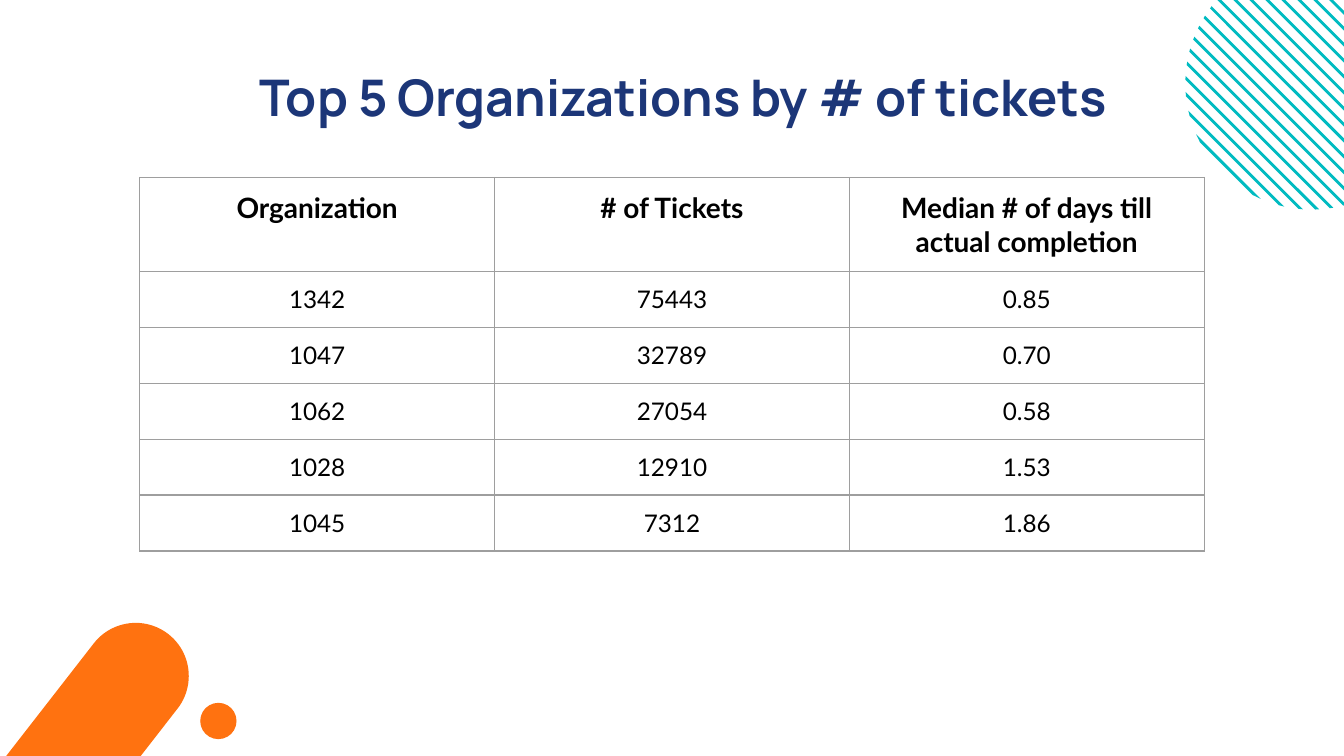
import math

import lxml.etree
import pptx
import pptx.dml.color
import pptx.enum.shapes
import pptx.enum.text
import pptx.oxml.ns
import pptx.util

RGBColor = pptx.dml.color.RGBColor
Inches = pptx.util.Inches
Pt = pptx.util.Pt
SHAPES = pptx.enum.shapes.MSO_SHAPE
ANCHOR = pptx.enum.text.MSO_ANCHOR
ALIGN = pptx.enum.text.PP_ALIGN

# Content
TITLE = "Top 5 Organizations by # of tickets"
HEADER = ("Organization", "# of Tickets", "Median # of days till actual completion")
ORGANIZATIONS = [
    ("1342", "75443", "0.85"),
    ("1047", "32789", "0.70"),
    ("1062", "27054", "0.58"),
    ("1028", "12910", "1.53"),
    ("1045", "7312", "1.86"),
]

# Look
NAVY = RGBColor(0x1C, 0x36, 0x78)
TEAL = RGBColor(0x00, 0xBB, 0xC1)
ORANGE = RGBColor(0xFF, 0x72, 0x10)
BLACK = RGBColor(0x00, 0x00, 0x00)
GREY = RGBColor(0x9E, 0x9E, 0x9E)
TITLE_FONT, TABLE_FONT = "Manrope", "Lato"

# Lengths in inches
SLIDE_WIDTH, SLIDE_HEIGHT = 10, 5.625
TABLE_LEFT, TABLE_TOP = 1.04, 1.32
COLUMN_WIDTH, HEADER_HEIGHT, BODY_HEIGHT = 2.64, 0.7, 2.08
CIRCLE_X, CIRCLE_Y, CIRCLE_RADIUS = 9.76, 0.62, 0.94
STRIPE_COUNT, STRIPE_WIDTH = 18, 0.03
FIRST_STRIPE, LAST_STRIPE = 0.75, -1.27  # x - y, measured from the circle's centre
CAPSULE_START, CAPSULE_END, CAPSULE_WIDTH = (-2.14, 9.08), (1.01, 5.03), 0.79


def paint(shape, color):
    shape.shadow.inherit = False
    shape.fill.solid()
    shape.fill.fore_color.rgb = color
    shape.line.fill.background()


def set_margins(target, side, top, bottom):
    target.margin_left = target.margin_right = Inches(side)
    target.margin_top, target.margin_bottom = Inches(top), Inches(bottom)


def add_text(para, text, font, size, color, bold):
    span = para.add_run()
    span.text = text
    span.font.name, span.font.size, span.font.bold = font, Pt(size), bold
    span.font.color.rgb = color


def chord(offset):
    """Both ends of the 45 degree chord where x - y equals offset."""
    half = math.sqrt(2 * CIRCLE_RADIUS ** 2 - offset ** 2)
    return [(Inches(CIRCLE_X + (offset + way * half) / 2),
             Inches(CIRCLE_Y + (way * half - offset) / 2)) for way in (-1, 1)]


def add_striped_circle(page):
    group = page.shapes.add_group_shape()
    pitch = (LAST_STRIPE - FIRST_STRIPE) / (STRIPE_COUNT - 1)
    for index in range(STRIPE_COUNT):
        offset = FIRST_STRIPE + index * pitch
        points = chord(offset) + chord(offset + STRIPE_WIDTH)[::-1]
        builder = group.shapes.build_freeform(*points[0])
        builder.add_line_segments(points[1:], close=True)
        paint(builder.convert_to_shape(), TEAL)


def add_capsule(page):
    (x1, y1), (x2, y2) = CAPSULE_START, CAPSULE_END
    length = math.dist(CAPSULE_START, CAPSULE_END) + CAPSULE_WIDTH
    capsule = page.shapes.add_shape(
        SHAPES.ROUNDED_RECTANGLE,
        Inches((x1 + x2 - length) / 2), Inches((y1 + y2 - CAPSULE_WIDTH) / 2),
        Inches(length), Inches(CAPSULE_WIDTH))
    capsule.adjustments[0] = 0.5
    capsule.rotation = math.degrees(math.atan2(y2 - y1, x2 - x1))
    paint(capsule, ORANGE)


def set_borders(cell):
    properties = cell._tc.get_or_add_tcPr()
    qn = pptx.oxml.ns.qn
    for index, side in enumerate(("lnL", "lnR", "lnT", "lnB")):
        line = lxml.etree.Element(qn(f"a:{side}"), w=str(Pt(0.75)))
        fill = lxml.etree.SubElement(line, qn("a:solidFill"))
        lxml.etree.SubElement(fill, qn("a:srgbClr"), val=str(GREY))
        properties.insert(index, line)


def add_ticket_table(page):
    rows = [HEADER] + ORGANIZATIONS
    count = len(ORGANIZATIONS)
    heights = [HEADER_HEIGHT] + [BODY_HEIGHT / count] * count
    table = page.shapes.add_table(
        len(rows), len(HEADER), Inches(TABLE_LEFT), Inches(TABLE_TOP),
        Inches(COLUMN_WIDTH * len(HEADER)), Inches(sum(heights))).table
    table.first_row = table.horz_banding = False
    for column in table.columns:
        column.width = Inches(COLUMN_WIDTH)
    for row_index, (values, height) in enumerate(zip(rows, heights)):
        table.rows[row_index].height = Inches(height)
        is_header = row_index == 0
        for column_index, value in enumerate(values):
            cell = table.cell(row_index, column_index)
            cell.fill.background()
            set_borders(cell)
            para = cell.text_frame.paragraphs[0]
            para.alignment = ALIGN.CENTER
            if is_header:
                set_margins(cell, 0.1, 0.1, 0.1)
                cell.vertical_anchor = ANCHOR.TOP
            else:
                set_margins(cell, 0.01, 0.01, 0.1)
                cell.vertical_anchor = ANCHOR.BOTTOM
                para.line_spacing = 1.15
            add_text(para, value, TABLE_FONT, 15 if is_header else 13, BLACK, is_header)


def main():
    deck = pptx.Presentation()
    deck.slide_width, deck.slide_height = Inches(SLIDE_WIDTH), Inches(SLIDE_HEIGHT)
    page = deck.slides.add_slide(deck.slide_layouts[5])

    # Decoration
    add_striped_circle(page)
    add_capsule(page)
    paint(page.shapes.add_shape(SHAPES.OVAL, Inches(1.49), Inches(5.23),
                                Inches(0.27), Inches(0.27)), ORANGE)

    # Title
    title = page.shapes.title
    title.left, title.top = Inches(1.83), Inches(0.39)
    title.width, title.height = Inches(6.82), Inches(0.76)
    frame = title.text_frame
    frame.word_wrap = True
    frame.auto_size = pptx.enum.text.MSO_AUTO_SIZE.NONE
    frame.vertical_anchor = ANCHOR.TOP
    set_margins(frame, 0.1, 0.1, 0.1)
    frame.paragraphs[0].alignment = ALIGN.LEFT
    add_text(frame.paragraphs[0], TITLE, TITLE_FONT, 27, NAVY, True)

    # Table
    add_ticket_table(page)
    deck.save("out.pptx")


if __name__ == "__main__":
    main()
